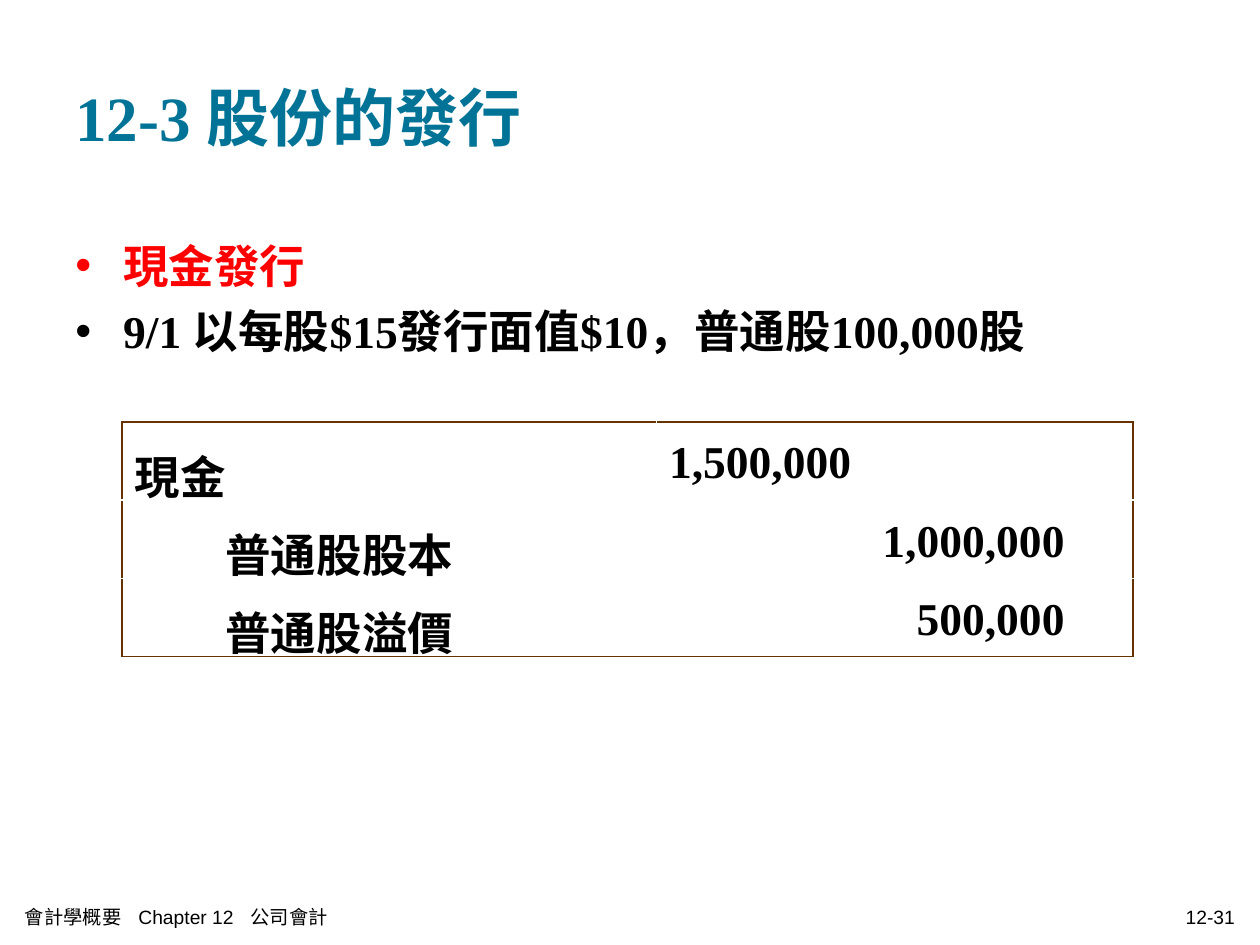
from dataclasses import dataclass

from lxml.etree import SubElement
from pptx import Presentation
from pptx.dml.color import RGBColor
from pptx.enum.text import MSO_ANCHOR, PP_ALIGN
from pptx.oxml.ns import qn
from pptx.util import Inches, Pt


@dataclass(frozen=True)
class Theme:
    title: str = "007396"
    accent: str = "FF0000"
    ink: str = "000000"
    rule: str = "663300"
    serif: str = "Times New Roman"
    sans: str = "Arial"
    title_size: float = 36
    body_size: float = 26
    footer_size: float = 11
    rule_width: float = 1.08
    line_spacing: float = 1.2


THEME = Theme()


def style(para, size, color, face=THEME.serif, bold=True):
    for span in para.runs:
        span.font.name = face
        span.font.size = Pt(size)
        span.font.bold = bold
        span.font.color.rgb = RGBColor.from_string(color)


def add_text_frame(page, box, anchor):
    frame = page.shapes.add_textbox(*map(Inches, box)).text_frame
    frame.word_wrap = True
    frame.vertical_anchor = anchor
    return frame


def add_bullet(para, color, indent):
    props = para._p.get_or_add_pPr()
    props.set("marL", str(indent))
    props.set("indent", str(-indent))
    SubElement(SubElement(props, qn("a:buClr")), qn("a:srgbClr"), val=color)
    SubElement(props, qn("a:buFont"), typeface=THEME.sans)
    SubElement(props, qn("a:buChar"), char="•")


def add_tabs(para, stops):
    tabs = SubElement(para._p.get_or_add_pPr(), qn("a:tabLst"))
    for stop in stops:
        SubElement(tabs, qn("a:tab"), pos=str(Inches(stop)), algn="l")


def add_borders(cell, sides):
    props = cell._tc.get_or_add_tcPr()
    for side in sides:
        line = SubElement(props, qn(f"a:ln{side}"), w=str(Pt(THEME.rule_width)))
        fill = SubElement(line, qn("a:solidFill"))
        SubElement(fill, qn("a:srgbClr"), val=THEME.rule)


def add_title(page, box):
    para = add_text_frame(page, box, MSO_ANCHOR.MIDDLE).paragraphs[0]
    para.text = "12-3 股份的發行"
    style(para, THEME.title_size, THEME.title)


def add_body(page, box):
    frame = add_text_frame(page, box, MSO_ANCHOR.TOP)
    lines = [
        ("現金發行", THEME.accent),
        ("9/1 以每股$15發行面值$10，普通股100,000股", THEME.ink),
    ]
    frame.text = "\n".join(text for text, _ in lines)
    for para, (_, color) in zip(frame.paragraphs, lines):
        add_bullet(para, color, Inches(0.38))
        para.line_spacing = THEME.line_spacing
        style(para, THEME.body_size, color)


def add_journal_entry(page, box):
    # Each entry: account, amount, whether it is a credit
    entries = [
        ("現金", "1,500,000", False),
        ("普通股股本", "1,000,000", True),
        ("普通股溢價", "500,000", True),
    ]
    last = len(entries) - 1
    table = page.shapes.add_table(len(entries), 2, *map(Inches, box)).table
    table.first_row = table.horz_banding = False
    for column, width in zip(table.columns, (4.24, 3.78)):
        column.width = Inches(width)

    for row, (account, amount, is_credit) in enumerate(entries):
        for column, text in enumerate((account, amount)):
            cell = table.cell(row, column)
            cell.text = text
            para = cell.text_frame.paragraphs[0]
            para.line_spacing = THEME.line_spacing
            style(para, THEME.body_size, THEME.ink)
            # Credits: indented account, amount in the right-hand position
            if is_credit and column == 0:
                cell.margin_left = Inches(0.82)
            elif is_credit:
                para.alignment = PP_ALIGN.RIGHT
                cell.margin_right = Inches(0.54)
            # Only the outer frame of the table is ruled
            sides = "LR"[column] + "T" * (row == 0) + "B" * (row == last)
            add_borders(cell, sides)
            cell.fill.background()


def add_footer(page, box):
    left, top, width, height = box
    number_width = 3.13
    number_left = left + width - number_width
    # Book and chapter
    chapter = add_text_frame(
        page, (left, top, 5.1, height), MSO_ANCHOR.MIDDLE).paragraphs[0]
    chapter.text = "會計學概要\tChapter 12\t公司會計"
    add_tabs(chapter, (0.9, 1.79))
    # Page number
    number = add_text_frame(
        page, (number_left, top, number_width, height),
        MSO_ANCHOR.MIDDLE).paragraphs[0]
    number.text = "12-31"
    number.alignment = PP_ALIGN.RIGHT
    for para in (chapter, number):
        style(para, THEME.footer_size, THEME.ink, THEME.sans, bold=False)


def main():
    deck = Presentation()
    deck.slide_width, deck.slide_height = Inches(10), Inches(7.5)
    page = deck.slides.add_slide(deck.slide_layouts[6])
    add_title(page, (0.5, 0.3, 9, 1.25))
    add_body(page, (0.5, 1.75, 9, 4.95))
    add_journal_entry(page, (0.97, 3.35, 8.02, 1.86))
    add_footer(page, (0.1, 7.11, 9.8, 0.33))
    deck.save("out.pptx")


if __name__ == "__main__":
    main()
